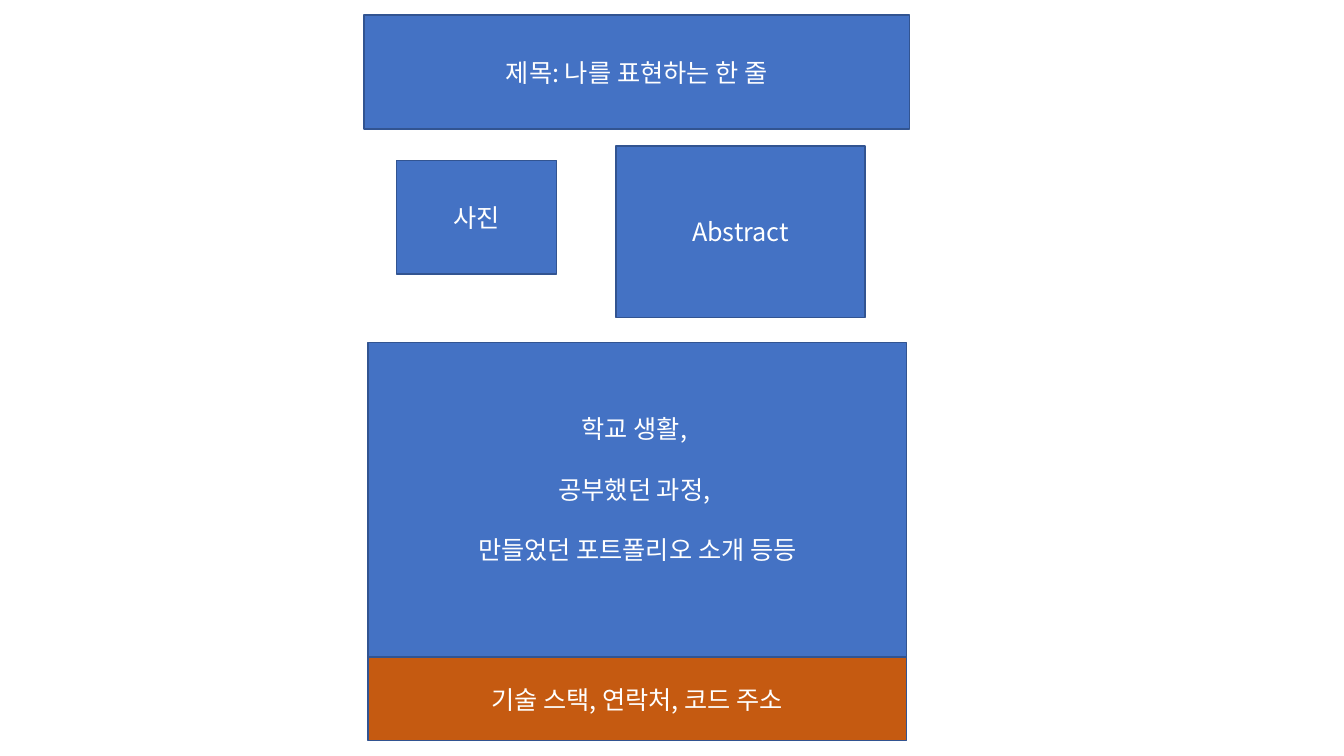
from pptx import Presentation
from pptx.dml.color import RGBColor
from pptx.enum.shapes import MSO_SHAPE
from pptx.enum.text import MSO_ANCHOR, MSO_AUTO_SIZE, PP_ALIGN
from pptx.oxml.ns import qn
from pptx.util import Inches, Pt
from lxml import etree

BLUE = RGBColor(0x44, 0x72, 0xC4)
ORANGE = RGBColor(0xC5, 0x5A, 0x11)
OUTLINE = RGBColor(0x32, 0x54, 0x91)
WHITE = RGBColor(0xFF, 0xFF, 0xFF)
FONT = "Noto Sans CJK KR"
TITLE_ONLY = 5

COLUMN_LEFT, COLUMN_WIDTH = 3.65, 5.34
LINE_HEIGHT = 21.6


def format_box(box, lines, fill=BLUE, size=18, gap=0, bottom=0.05):
    """Fill and outline a box and centre its lines; gap is in points, bottom in inches."""
    box.fill.solid()
    box.fill.fore_color.rgb = fill
    box.line.color.rgb = OUTLINE
    box.line.width = Pt(1)
    frame = box.text_frame
    frame.word_wrap = True
    frame.auto_size = MSO_AUTO_SIZE.NONE
    frame.vertical_anchor = MSO_ANCHOR.MIDDLE
    frame.margin_bottom = Inches(bottom)
    for index, line in enumerate(lines):
        para = frame.add_paragraph() if index else frame.paragraphs[0]
        para.alignment = PP_ALIGN.CENTER
        para.space_before = Pt(gap if index else 0)
        span = para.add_run()
        span.text = line
        span.font.size = Pt(size)
        span.font.name = FONT
        span.font.color.rgb = WHITE
        east_asian = etree.SubElement(span.font._element, qn("a:ea"))
        east_asian.set("typeface", FONT)


deck = Presentation()
deck.slide_width, deck.slide_height = Inches(13.33), Inches(7.5)
page = deck.slides.add_slide(deck.slide_layouts[TITLE_ONLY])

title = page.shapes.title
title.left, title.top = Inches(3.61), Inches(0.15)
title.width, title.height = Inches(5.41), Inches(1.13)
format_box(title, ["제목: 나를 표현하는 한 줄"])

story = ["학교 생활, ", "공부했던 과정, ", "만들었던 포트폴리오 소개 등등"]
story_format = {"gap": LINE_HEIGHT, "bottom": 0.05 + 3 * LINE_HEIGHT / 72}

sections = [
    ((3.93, 1.59, 1.59, 1.13), ["사진"], {}),
    ((6.11, 1.45, 2.47, 1.7), ["Abstract"], {}),
    ((COLUMN_LEFT, 3.4, COLUMN_WIDTH, 3.81), story, story_format),
    ((COLUMN_LEFT, 6.52, COLUMN_WIDTH, 0.83), ["기술 스택, 연락처, 코드 주소"], {"fill": ORANGE}),
]
for place, lines, text_format in sections:
    box = page.shapes.add_shape(MSO_SHAPE.RECTANGLE, *map(Inches, place))
    box.shadow.inherit = False
    format_box(box, lines, **text_format)

deck.save("out.pptx")
